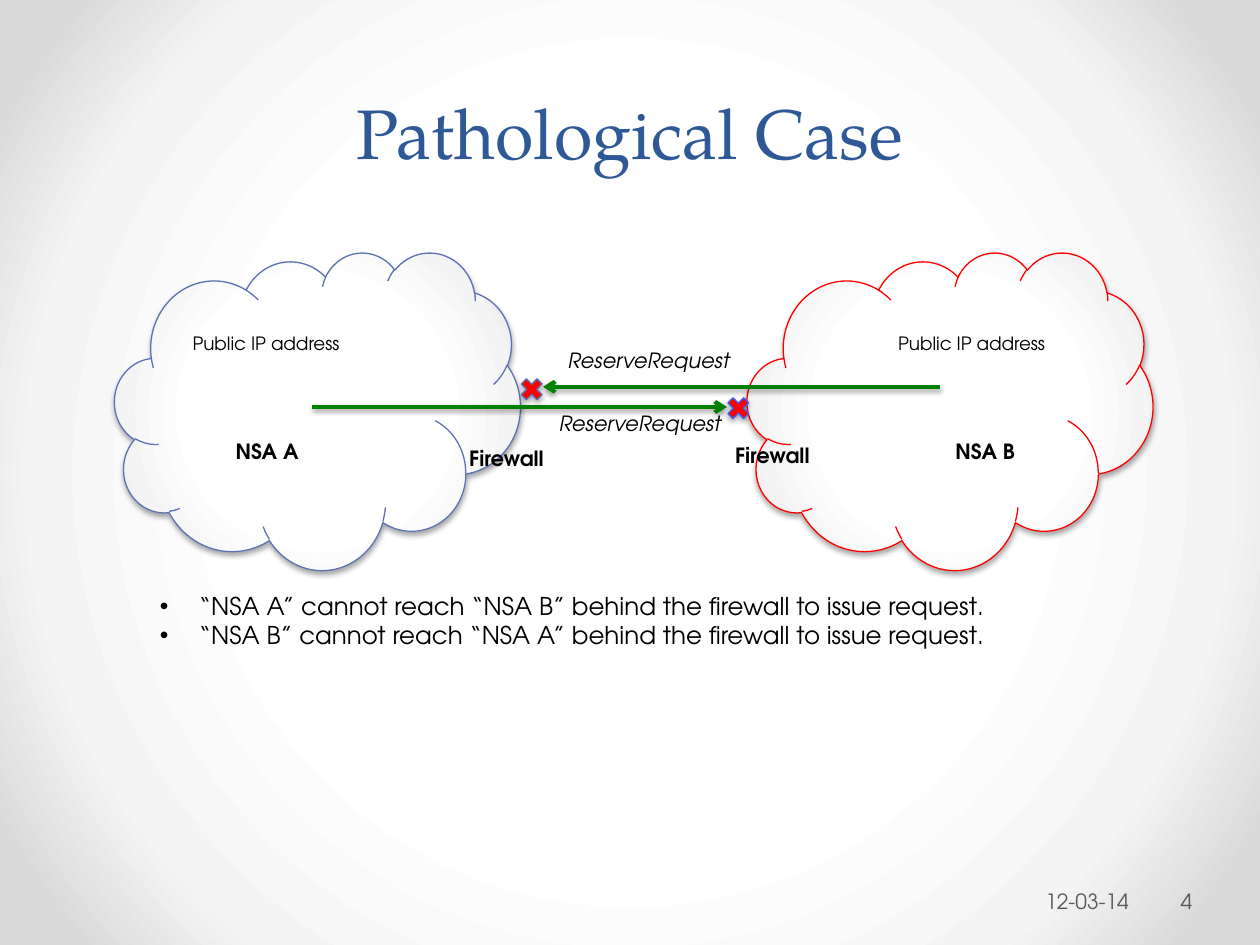
from pptx import Presentation
from pptx import util as u
from pptx.dml.color import RGBColor
from pptx.enum import shapes, text
from pptx.oxml import ns, parse_xml

# Content; places are (column, row, columns, rows) on a grid of 100 x 75 cells
COLUMNS, ROWS = 100, 75
COLORS = {"title": "2F5897", "footer": "595959", "text": "000000",
          "blue": "5C72B2", "bright_blue": "3366FF", "red": "FF0000", "green": "008000"}
GRADIENT = [(50, "FFFFFF"), (76, "F4F4F4"), (92, "DADADA")]
BODY_FONT, TITLE_FONT = "TeX Gyre Adventor", "TeX Gyre Pagella"

TITLE = ("Pathological Case", (5, 0, 90, 14.3))
DATE = ("12-03-14", (67.3, 69.5, 22.8, 4))
NUMBER = ("4", (93.4, 69.5, 6.1, 4))
BULLETS = (["“NSA A” cannot reach “NSA B” behind the firewall to issue request.",
            "“NSA B” cannot reach “NSA A” behind the firewall to issue request."],
           (11.7, 46.4, 75.1, 5.7))
CLOUDS = [(9.1, "blue"), (59.3, "red")]
NAMES = [("Firewall", 35.2, 34.9), ("NSA A", 16.2, 34.3),
         ("NSA B", 73.2, 34.3), ("Firewall", 56.3, 34.6)]
ADDRESSES = [("Public IP address", 14.3), ("Public IP address", 70.3)]
REQUESTS = [("ReserveRequest", 44.1, 27.1), ("ReserveRequest", 43.4, 32.1)]
ARROWS = [(74.6, 43.1, 30.7), (24.8, 57.7, 32.3)]  # from, to, row
CROSSES = [(41, 29.7, "blue"), (57.4, 31.2, "bright_blue")]

presentation = Presentation()
presentation.slide_width, presentation.slide_height = u.Inches(10), u.Inches(7.5)
slide = presentation.slides.add_slide(presentation.slide_layouts[6])


def x(columns):
    return round(presentation.slide_width * columns / COLUMNS)


def y(rows):
    return round(presentation.slide_height * rows / ROWS)


def place(box):
    return x(box[0]), y(box[1]), x(box[2]), y(box[3])


def color(name):
    return RGBColor.from_string(COLORS[name])


def add_gradient(properties):
    """Swap the solid fill for a circular gradient around the centre."""
    stops = "".join(f'<a:gs pos="{position * 1000}"><a:srgbClr val="{value}"/></a:gs>'
                    for position, value in GRADIENT)
    gradient = parse_xml(
        f'<a:gradFill {ns.nsdecls("a")} rotWithShape="1"><a:gsLst>{stops}</a:gsLst>'
        '<a:path path="circle"><a:fillToRect l="50000" t="50000" r="50000" b="50000"/>'
        '</a:path></a:gradFill>')
    properties.replace(properties.find(ns.qn("a:solidFill")), gradient)


def add_shadow(shape, opacity=35, distance=1.8):
    properties = shape._element.spPr
    for effects in properties.findall(ns.qn("a:effectLst")):
        properties.remove(effects)
    properties.append(parse_xml(
        f'<a:effectLst {ns.nsdecls("a")}><a:outerShdw blurRad="{u.Pt(3.1)}" '
        f'dist="{u.Pt(distance)}" dir="5400000" rotWithShape="0"><a:srgbClr val="000000">'
        f'<a:alpha val="{opacity * 1000}"/></a:srgbClr></a:outerShdw></a:effectLst>'))


def add_shape(kind, box, line, fill=None):
    shape = slide.shapes.add_shape(kind, *place(box))
    shape.fill.solid()
    if fill:
        shape.fill.fore_color.rgb = color(fill)
    else:
        add_gradient(shape._element.spPr)
    shape.line.color.rgb = color(line)
    shape.line.width = u.Pt(0.75)
    add_shadow(shape)


def add_text(lines, box, size, ink="text", font=BODY_FONT, align="LEFT", anchor="TOP",
             sides=(0.1, 0.1), wrap=True, grow=True, bullet=False, spacing=None,
             bold=False, italic=False):
    frame = slide.shapes.add_textbox(*place(box)).text_frame
    frame.text = "\n".join(lines)
    frame.word_wrap = wrap
    if grow:
        frame.auto_size = text.MSO_AUTO_SIZE.SHAPE_TO_FIT_TEXT
    frame.vertical_anchor = text.MSO_ANCHOR[anchor]
    frame.margin_left, frame.margin_right = map(u.Inches, sides)
    for paragraph in frame.paragraphs:
        paragraph.alignment = text.PP_ALIGN[align]
        if spacing:
            paragraph.line_spacing = u.Pt(spacing)
        if bullet:
            properties = paragraph._p.get_or_add_pPr()
            properties.set("marL", str(u.Inches(0.31)))
            properties.set("indent", str(-u.Inches(0.31)))
            properties.append(parse_xml(f'<a:buFont {ns.nsdecls("a")} typeface="Arial"/>'))
            properties.append(parse_xml(f'<a:buChar {ns.nsdecls("a")} char="•"/>'))
        for run in paragraph.runs:
            run.font.name, run.font.size = font, u.Pt(size)
            run.font.bold, run.font.italic = bold, italic
            run.font.color.rgb = color(ink)


# Background, title and footer
slide.background.fill.solid()
add_gradient(slide.element.find(".//" + ns.qn("p:bgPr")))
add_text([TITLE[0]], TITLE[1], 40, "title", TITLE_FONT, "CENTER", "BOTTOM",
         grow=False, spacing=58)
add_text([DATE[0]], DATE[1], 12, "footer", align="RIGHT", anchor="MIDDLE",
         sides=(0.1, 0.05), grow=False)
add_text([NUMBER[0]], NUMBER[1], 12, "footer", anchor="MIDDLE",
         sides=(0.03, 0.05), grow=False)

# Clouds and their labels
for column, line in CLOUDS:
    add_shape(shapes.MSO_SHAPE.CLOUD, (column, 20, 32.2, 25.2), line)
for name, column, row in NAMES:
    add_text([name], (column, row, 10, 3), 12, align="CENTER", sides=(0, 0), bold=True)
for address, column in ADDRESSES:
    add_text([address], (column, 25.9, 13.9, 2.8), 10.5, wrap=False)

# Blocked requests
for start, end, row in ARROWS:
    arrow = slide.shapes.add_connector(shapes.MSO_CONNECTOR.STRAIGHT,
                                       x(start), y(row), x(end), y(row))
    arrow.line.color.rgb = color("green")
    arrow.line.width = u.Pt(2.25)
    arrow.line._get_or_add_ln().append(
        parse_xml(f'<a:tailEnd {ns.nsdecls("a")} type="arrow"/>'))
    add_shadow(arrow, 38, 1.6)
for request, column, row in REQUESTS:
    add_text([request], (column, row, 15.3, 3), 12, wrap=False, italic=True)
for column, row, line in CROSSES:
    add_shape(shapes.MSO_SHAPE.MATH_MULTIPLY, (column, row, 2.4, 2.4), line, "red")

# Conclusions
add_text(*BULLETS, 14, bullet=True)

presentation.save("out.pptx")
